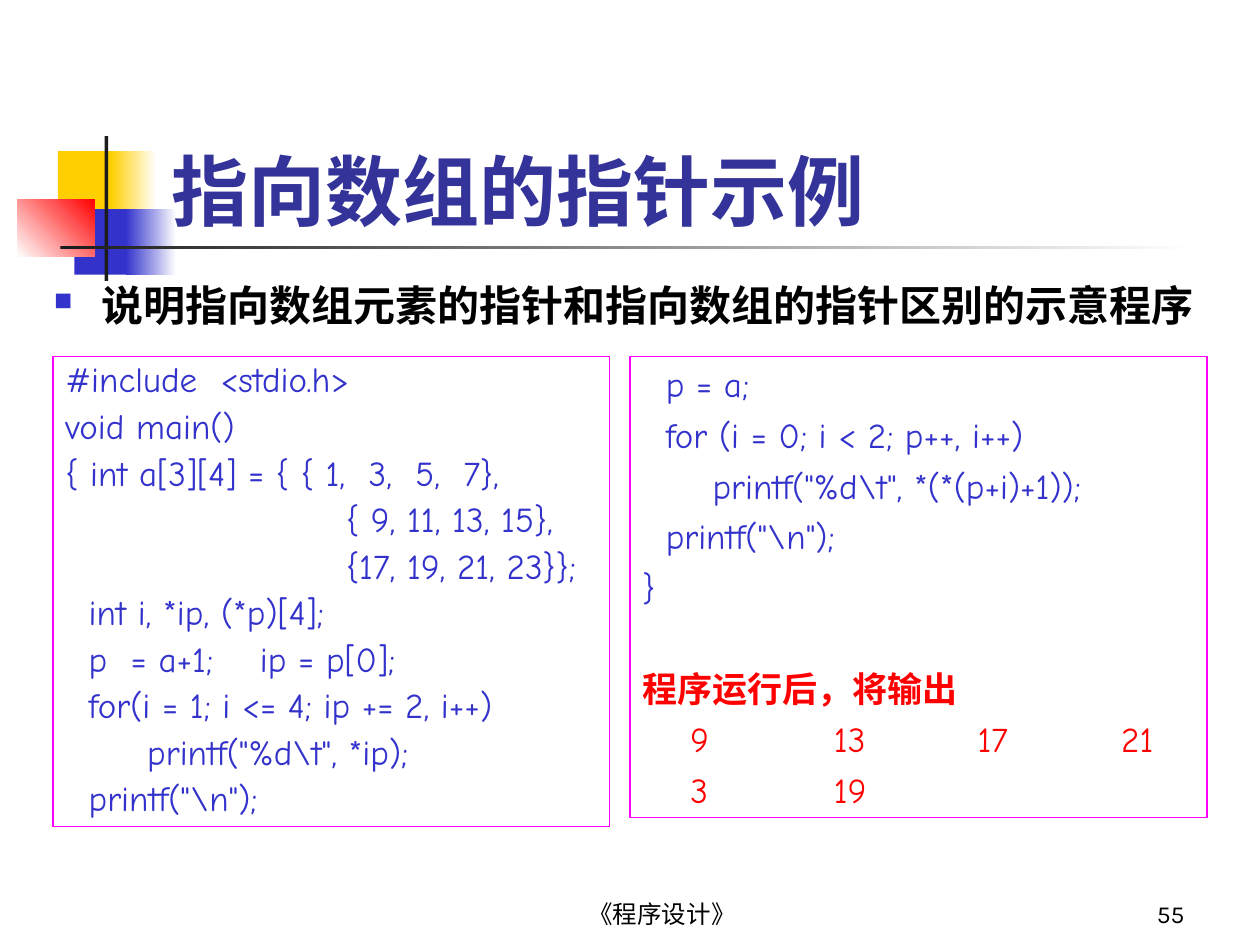
from dataclasses import dataclass

from lxml import etree
from pptx import Presentation
from pptx.dml.color import RGBColor
from pptx.enum.shapes import MSO_SHAPE
from pptx.enum.text import MSO_ANCHOR, PP_ALIGN
from pptx.oxml.ns import qn
from pptx.util import Inches, Pt

RECT = MSO_SHAPE.RECTANGLE
TOP, BOTTOM = MSO_ANCHOR.TOP, MSO_ANCHOR.BOTTOM
LEFT, CENTER, RIGHT = PP_ALIGN.LEFT, PP_ALIGN.CENTER, PP_ALIGN.RIGHT


@dataclass(frozen=True)
class Theme:
    yellow: str = "FFCF01"
    blue: str = "3333CC"
    red: str = "FF0000"
    white: str = "FFFFFF"
    dark: str = "1C1C1C"
    black: str = "000000"
    title: str = "333399"
    frame: str = "FF00FF"
    code_font: str = "Comic Neue"
    footer_font: str = "Karla"
    cjk_font: str = "Noto Sans CJK SC"
    title_size: int = 44
    body_size: int = 24
    code_size: int = 20
    footer_size: int = 14
    line_gap: int = 5
    section_gap: int = 34


T = Theme()

# left, top, width, height, colours (two make a gradient), angle
ORNAMENTS = [
    (0.46, 1.2, 0.48, 0.52, [T.yellow], 0),
    (0.88, 1.2, 0.36, 0.52, [T.yellow, T.white], 0),
    (0.59, 1.66, 0.46, 0.52, [T.blue], 0),
    (1, 1.66, 0.4, 0.52, [T.blue, T.white], 0),
    (0.14, 1.58, 0.61, 0.46, [T.white, T.red], 45),
    (0.83, 1.08, 0.03, 1.15, [T.dark], 0),
    (0.48, 1.95, 9, 0.03, [T.dark, T.white], 0),
]

DECLARE_CODE = r"""#include  <stdio.h>
void main()
{ int a[3][4] = { { 1,  3,  5,  7},
                        { 9, 11, 13, 15},
                        {17, 19, 21, 23}};
  int i, *ip, (*p)[4];
  p  = a+1;    ip = p[0];
  for(i = 1; i <= 4; ip += 2, i++)
       printf("%d\t", *ip);
  printf("\n");"""

POINTER_CODE = r"""  p = a;
  for (i = 0; i < 2; p++, i++)
      printf("%d\t", *(*(p+i)+1));
  printf("\n");
}"""

OUTPUT_ROWS = [("9", "13", "17", "21"), ("3", "19")]
OUTPUT_TABS = [0.38 + 1.14 * i for i in range(4)]


def add_ornament(s, x, y, w, h, colors, angle):
    sp = s.shapes.add_shape(RECT, Inches(x), Inches(y), Inches(w), Inches(h))
    sp.shadow.inherit = False
    sp.line.fill.background()
    if len(colors) == 1:
        sp.fill.solid()
        sp.fill.fore_color.rgb = RGBColor.from_string(colors[0])
        return
    sp.fill.gradient()
    sp.fill.gradient_angle = angle
    for stop, color in zip(sp.fill.gradient_stops, colors):
        stop.color.rgb = RGBColor.from_string(color)


def format_frame(sp, anchor):
    tf = sp.text_frame
    layout = {"word_wrap": True, "vertical_anchor": anchor,
              "margin_left": Inches(0.1), "margin_right": Inches(0.1),
              "margin_top": Inches(0.05), "margin_bottom": Inches(0.05)}
    for name, value in layout.items():
        setattr(tf, name, value)
    return tf


def write(p, text, font, size, color, bold=False, **paragraph_format):
    """Fill a paragraph with one run in a Latin font and the shared CJK font."""
    for name, value in paragraph_format.items():
        setattr(p, name, value)
    r = p.add_run()
    r.text = text
    for name, value in {"name": font, "size": Pt(size), "bold": bold}.items():
        setattr(r.font, name, value)
    r.font.color.rgb = RGBColor.from_string(color)
    latin = r._r.rPr.find(qn("a:latin"))
    ea = etree.Element(qn("a:ea"), typeface=T.cjk_font)
    latin.addnext(ea)


def add_label(s, x, y, w, h, text, font, size, color, bold=False,
              align=LEFT, anchor=BOTTOM):
    box = s.shapes.add_textbox(Inches(x), Inches(y), Inches(w), Inches(h))
    p = format_frame(box, anchor).paragraphs[0]
    write(p, text, font, size, color, bold, alignment=align)
    return p


def add_bullet(p, char, color, percent, indent):
    pPr = p._p.get_or_add_pPr()
    pPr.set("marL", str(Inches(indent)))
    pPr.set("indent", str(-Inches(indent)))
    bu_color = etree.SubElement(pPr, qn("a:buClr"))
    etree.SubElement(bu_color, qn("a:srgbClr"), val=color)
    etree.SubElement(pPr, qn("a:buSzPct"), val=str(percent * 1000))
    etree.SubElement(pPr, qn("a:buChar"), char=char)


def add_tabs(p, stops):
    tabs = etree.SubElement(p._p.get_or_add_pPr(), qn("a:tabLst"))
    for stop in stops:
        etree.SubElement(tabs, qn("a:tab"), pos=str(Inches(stop)), algn="l")


def add_panel(s, x, y, w, h):
    sp = s.shapes.add_shape(RECT, Inches(x), Inches(y), Inches(w), Inches(h))
    sp.shadow.inherit = False
    sp.fill.background()
    sp.line.color.rgb = RGBColor.from_string(T.frame)
    sp.line.width = Pt(0.75)
    return format_frame(sp, TOP)


def write_code(tf, code, spacing):
    for i, line in enumerate(code.splitlines()):
        p = tf.add_paragraph() if i else tf.paragraphs[0]
        write(p, line, T.code_font, T.code_size, T.blue, alignment=LEFT,
              line_spacing=spacing, space_before=Pt(T.line_gap if i else 0))


def write_output(tf, heading, rows):
    write(tf.add_paragraph(), heading, T.code_font, T.code_size, T.red, True,
          alignment=LEFT, space_before=Pt(T.section_gap))
    for row in rows:
        p = tf.add_paragraph()
        p.space_before = Pt(T.line_gap)
        add_tabs(p, OUTPUT_TABS)
        write(p, "".join("\t" + value for value in row), T.code_font,
              T.code_size, T.red, alignment=LEFT)


def main():
    prs = Presentation()
    prs.slide_width, prs.slide_height = Inches(10), Inches(7.5)
    s = prs.slides.add_slide(prs.slide_layouts[6])

    for ornament in ORNAMENTS:
        add_ornament(s, *ornament)

    footer = (T.footer_font, T.footer_size, T.black)
    add_label(s, 3.67, 6.92, 3.17, 0.5, "《程序设计》", *footer, align=CENTER)
    add_label(s, 7.42, 6.92, 2.08, 0.5, "55", *footer, align=RIGHT)
    add_label(s, 1.26, 0.67, 8.52, 1.25, "指向数组的指针示例",
              T.code_font, T.title_size, T.title, bold=True)
    p = add_label(s, 0.33, 2.17, 9.29, 0.5,
                  "说明指向数组元素的指针和指向数组的指针区别的示意程序",
                  T.cjk_font, T.body_size, T.black, bold=True, anchor=TOP)
    add_bullet(p, "■", T.blue, 60, 0.38)

    write_code(add_panel(s, 0.42, 2.83, 4.42, 3.73), DECLARE_CODE, 0.9)
    tf = add_panel(s, 5, 2.83, 4.58, 3.66)
    write_code(tf, POINTER_CODE, 1.0)
    write_output(tf, "程序运行后，将输出", OUTPUT_ROWS)

    prs.save("out.pptx")


if __name__ == "__main__":
    main()
